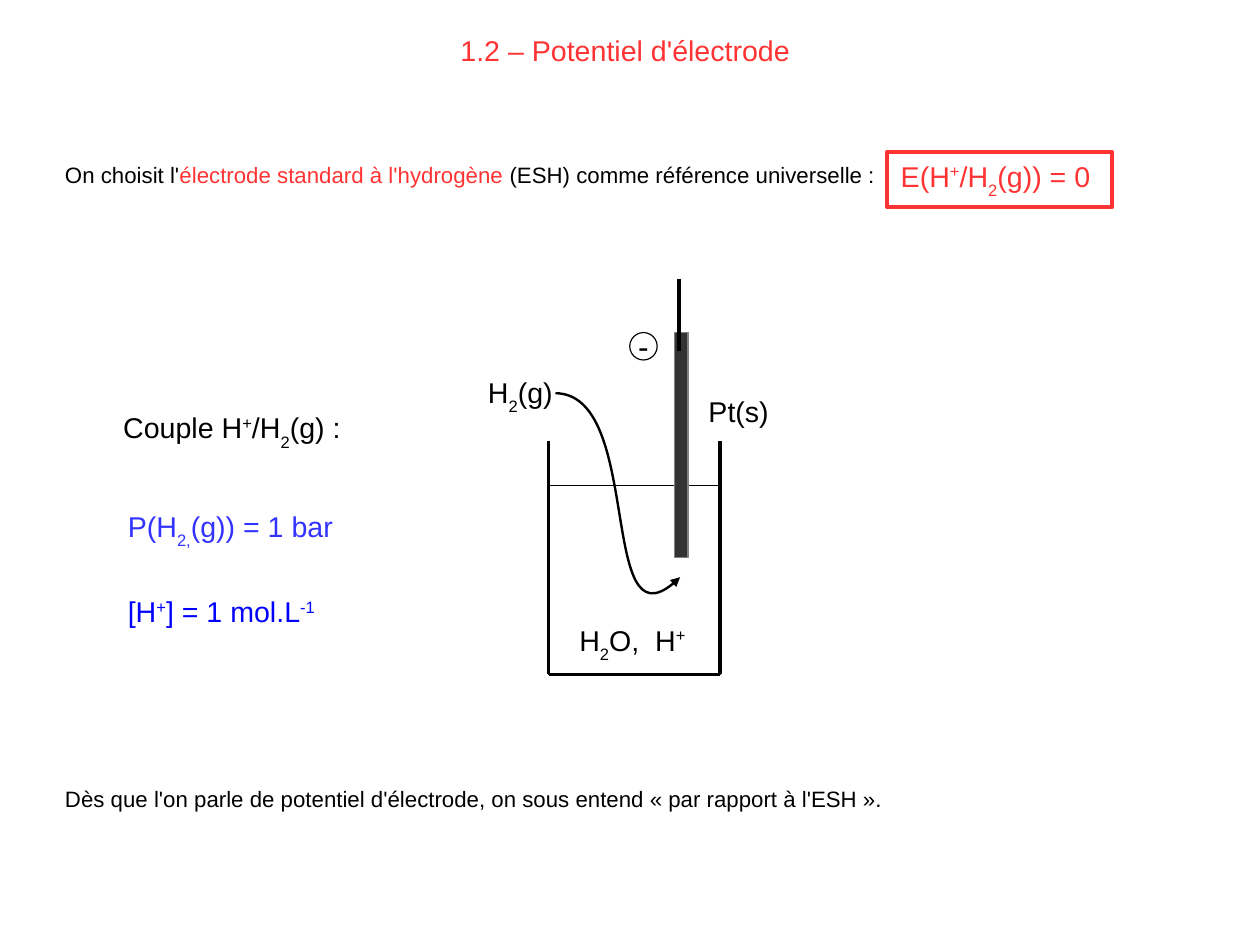
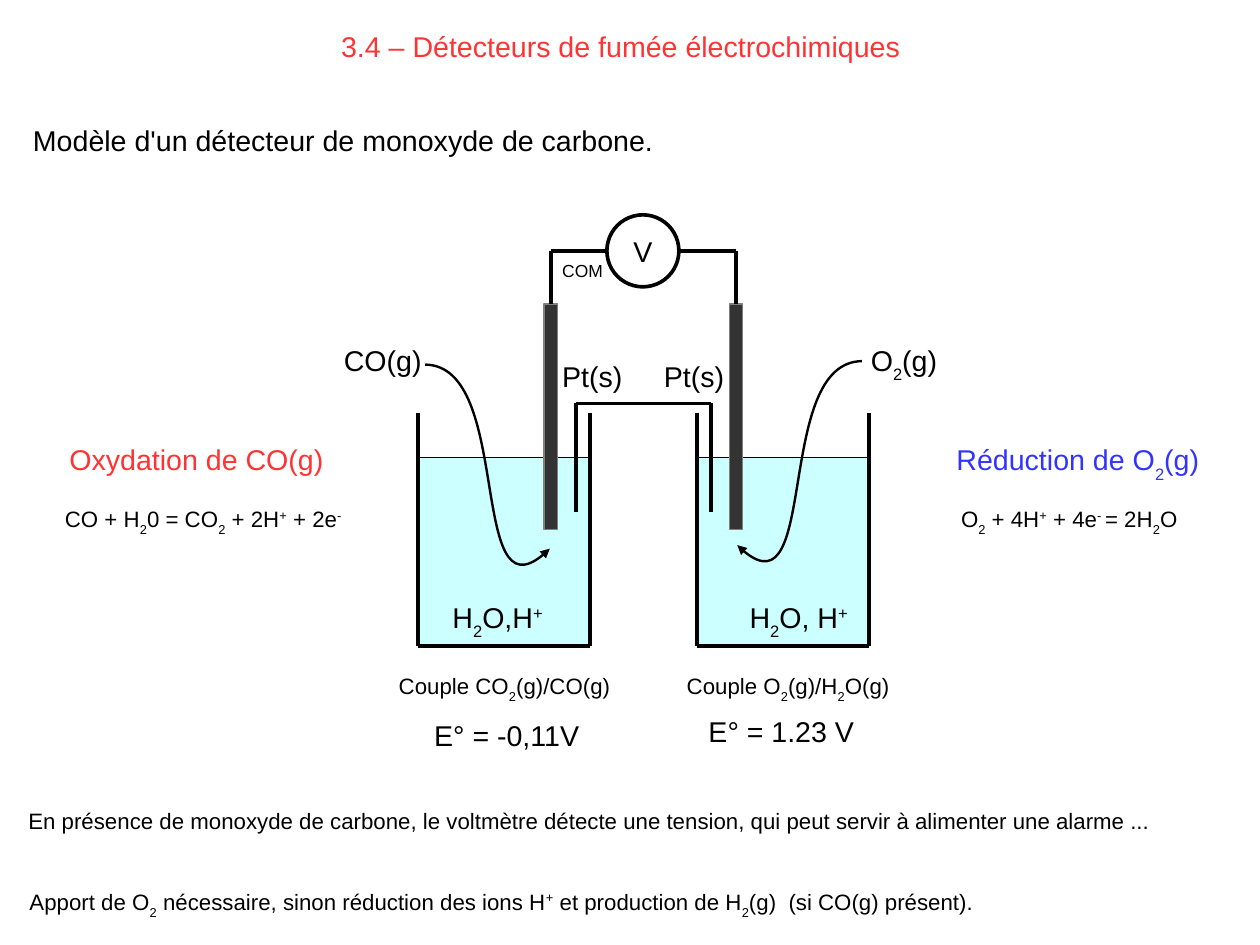
import pptx
import pptx.util
import pptx.dml.color
import pptx.enum.shapes
import pptx.enum.text
import pptx.oxml.ns
from lxml import etree

RGB = pptx.dml.color.RGBColor
SHAPE = pptx.enum.shapes.MSO_SHAPE
ALIGN = pptx.enum.text.PP_ALIGN
ANCHOR = pptx.enum.text.MSO_ANCHOR
qn = pptx.oxml.ns.qn
Inches, Pt, Cm = pptx.util.Inches, pptx.util.Pt, pptx.util.Cm

BLACK = RGB(0x00, 0x00, 0x00)
WHITE = RGB(0xFF, 0xFF, 0xFF)
RED = RGB(0xFF, 0x33, 0x33)
BLUE = RGB(0x33, 0x33, 0xFF)
PURE_BLUE = RGB(0x00, 0x00, 0xFF)
PLATINUM = RGB(0x33, 0x33, 0x33)
GREY = RGB(0x80, 0x80, 0x80)
WATER = RGB(0xCC, 0xFF, 0xFF)

FONT = "Arial"
BIG, SMALL = 18, 14
THICK, THIN, CURVE, HAIR = 2.3, 0.79, 1.5, 0

# Content: (left, top, width), text, size, colour
# Markup: _subscript_, ^superscript^, *red*
TITLES = [
    ((3.77, 0.24, 3.40), "1.2 – Potentiel d'électrode"),
    ((2.83, 0.20, 5.20), "3.4 – Détecteurs de fumée électrochimiques"),
]
LABELS = [
    [
        ((0.47, 1.36, 8.82), "On choisit l'*électrode standard à l'hydrogène* (ESH) "
                             "comme référence universelle :", SMALL, BLACK),
        ((4.17, 3.23, 0.95), "H_2_(g)", BIG, BLACK),
        ((6.10, 3.40, 0.95), "Pt(s)", BIG, BLACK),
        ((4.97, 5.40, 1.30), "H_2_O,  H^+^", BIG, BLACK),
        ((0.98, 3.54, 2.30), "Couple H^+^/H_2_(g) :", BIG, BLACK),
        ((1.02, 4.40, 2.30), "P(H_2,_(g)) = 1 bar", BIG, BLUE),
        ((1.02, 5.15, 2.30), "[H^+^] = 1 mol.L^-1^", BIG, PURE_BLUE),
        ((0.47, 6.82, 8.82), "Dès que l'on parle de potentiel d'électrode, "
                             "on sous entend « par rapport à l'ESH ».", SMALL, BLACK),
    ],
    [
        ((0.19, 1.03, 5.79), "Modèle d'un détecteur de monoxyde de carbone.", BIG, BLACK),
        ((4.82, 2.23, 0.70), "COM", 11, BLACK),
        ((2.91, 2.95, 0.95), "CO(g)", BIG, BLACK),
        ((7.52, 2.95, 0.95), "O_2_(g)", BIG, BLACK),
        ((4.82, 3.09, 0.95), "Pt(s)", BIG, BLACK),
        ((5.71, 3.09, 0.95), "Pt(s)", BIG, BLACK),
        ((3.86, 5.20, 1.20), "H_2_O,H^+^", BIG, BLACK),
        ((6.46, 5.20, 1.20), "H_2_O, H^+^", BIG, BLACK),
        ((0.51, 3.82, 2.60), "Oxydation de CO(g)", BIG, RED),
        ((8.27, 3.82, 2.60), "Réduction de O_2_(g)", BIG, BLUE),
        ((0.47, 4.37, 2.70), "CO + H_2_0 = CO_2_ + 2H^+^ + 2e^-^", SMALL, BLACK),
        ((8.31, 4.37, 2.70), "O_2_ + 4H^+^ + 4e^- ^= 2H_2_O", SMALL, BLACK),
        ((3.39, 5.83, 2.17), "Couple CO_2_(g)/CO(g)", SMALL, BLACK),
        ((5.91, 5.83, 2.17), "Couple O_2_(g)/H_2_O(g)", SMALL, BLACK),
        ((3.70, 6.23, 1.65), "E° = -0,11V", BIG, BLACK),
        ((6.10, 6.20, 1.65), "E° = 1.23 V", BIG, BLACK),
        ((0.15, 7.01, 10.80), "En présence de monoxyde de carbone, le voltmètre détecte une "
                              "tension, qui peut servir à alimenter une alarme ...", SMALL, BLACK),
        ((0.16, 7.72, 10.80), "Apport de O_2_ nécessaire, sinon réduction des ions H^+^ et "
                              "production de H_2_(g)  (si CO(g) présent).", SMALL, BLACK),
    ],
]

# Half-cell geometry, measured from the beaker's side and the liquid surface
CELL_W, CELL_H, RIM = 1.5, 1.65, 0.39
ROD_X, ROD_Y, ROD_W, ROD_H = 1.1, -1.34, 0.12, 1.97
GAS_PATH = [(0.06, -0.81), (0.83, -0.80), (0.41, 1.53), (1.15, 0.80)]


def write(tf, text, size, color, align=ALIGN.LEFT, anchor=ANCHOR.TOP, **frame):
    values = {"word_wrap": True, "auto_size": pptx.enum.text.MSO_AUTO_SIZE.NONE,
              "vertical_anchor": anchor, **frame}
    for name, value in values.items():
        setattr(tf, name, value)
    p = tf.paragraphs[0]
    p.alignment = align
    pieces, mode = [("", "")], ""
    for ch in text:
        if ch in "_^*":
            mode = "" if mode else ch
            pieces.append((mode, ""))
        else:
            pieces[-1] = (mode, pieces[-1][1] + ch)
    for mode, piece in pieces:
        if not piece:
            continue
        r = p.add_run()
        r.text = piece
        for name, value in {"name": FONT, "size": Pt(size), "bold": False}.items():
            setattr(r.font, name, value)
        r.font.color.rgb = RED if mode == "*" else color
        if mode in ("_", "^"):
            r._r.get_or_add_rPr().set("baseline", "-33000" if mode == "_" else "33000")


def add_label(s, at, text, size, color):
    left, top, width = at
    box = s.shapes.add_textbox(Inches(left), Inches(top), Inches(width),
                               Inches(0.1 + size / 60))
    write(box.text_frame, text, size, color)


def add_block(s, kind, at, fill, color, weight):
    sp = s.shapes.add_shape(kind, *map(Inches, at))
    sp.shadow.inherit = False
    if fill is None:
        sp.fill.background()
    else:
        sp.fill.solid()
        sp.fill.fore_color.rgb = fill
    sp.line.color.rgb = color
    sp.line.width = Pt(weight)
    return sp


def add_disc(s, at, text, size, weight):
    sp = add_block(s, SHAPE.OVAL, at, WHITE, BLACK, weight)
    write(sp.text_frame, text, size, BLACK, ALIGN.CENTER, ANCHOR.MIDDLE, word_wrap=False,
          margin_left=0, margin_right=0, margin_top=0, margin_bottom=0)


def add_wires(s, *points):
    """Join successive points with straight lines; return the last line."""
    for start, end in zip(points, points[1:]):
        line = s.shapes.add_connector(pptx.enum.shapes.MSO_CONNECTOR.STRAIGHT,
                                      *map(Inches, start + end))
        line.line.color.rgb = BLACK
        line.line.width = Pt(THICK)
        etree.SubElement(line._element.spPr, qn("a:effectLst"))
    return line


def add_gas_arrow(s, points):
    pts = [(Inches(x), Inches(y)) for x, y in points]
    fb = s.shapes.build_freeform(*pts[0], scale=1.0)
    fb.add_line_segments(pts[1:], close=False)
    sp = fb.convert_to_shape()
    sp.shadow.inherit = False
    sp.fill.background()
    sp.line.color.rgb = BLACK
    sp.line.width = Pt(CURVE)
    # The three segments become one cubic curve
    outline = next(sp._element.iter(qn("a:path")))
    bezier = etree.SubElement(outline, qn("a:cubicBezTo"))
    for segment in outline.findall(qn("a:lnTo")):
        bezier.append(segment[0])
        outline.remove(segment)
    etree.SubElement(sp.line._get_or_add_ln(), qn("a:tailEnd"), type="triangle")


def add_cell(s, left, surface, fill, mirrored=False, lift=0):
    """Beaker, electrode and gas arrow; returns the electrode."""
    right, bottom, rim = left + CELL_W, surface + CELL_H, surface - RIM
    add_block(s, SHAPE.RECTANGLE, (left, surface, CELL_W, CELL_H), fill, BLACK, THIN)
    add_wires(s, (left, rim), (left, bottom), (right, bottom), (right, rim))
    rod_left = right - ROD_X - ROD_W if mirrored else left + ROD_X
    rod = add_block(s, SHAPE.RECTANGLE, (rod_left, surface + ROD_Y, ROD_W, ROD_H),
                    PLATINUM, GREY, HAIR)
    add_gas_arrow(s, [(right - x if mirrored else left + x, surface + y - lift)
                      for x, y in GAS_PATH])
    return rod


def draw_hydrogen_electrode(s):
    sp = add_block(s, SHAPE.RECTANGLE, (7.76, 1.33, 1.97, 0.48), None, RED, 2.83)
    write(sp.text_frame, "E(H^+^/H_2_(g)) = 0 ", BIG, RED, ALIGN.CENTER, ANCHOR.MIDDLE)
    add_cell(s, 4.8, 4.25, WHITE)
    add_wires(s, (5.94, 2.44), (5.94, 3.07))
    add_disc(s, (5.51, 2.91, 0.24, 0.24), "-", 20, HAIR)


def draw_detector(s):
    rods = [add_cell(s, 3.66, 4, WATER),
            add_cell(s, 6.1, 4, WATER, mirrored=True, lift=0.03)]
    # Salt bridge
    add_wires(s, (5.04, 4.48), (5.04, 3.53), (6.22, 3.53), (6.22, 4.48))
    # Voltmeter circuit
    meter_left, meter_top, meter_d = 5.31, 1.88, 0.63
    wire_y = meter_top + meter_d / 2
    for rod, meter_x in zip(rods, (meter_left, meter_left + meter_d)):
        x = (rod.left + rod.width / 2) / Inches(1)
        drop = add_wires(s, (meter_x, wire_y), (x, wire_y), (x, rod.top / Inches(1)))
        drop.end_connect(rod, 0)
    add_disc(s, (meter_left, meter_top, meter_d, meter_d), "V", BIG, THICK)


def main():
    prs = pptx.Presentation()
    prs.slide_width, prs.slide_height = Cm(28), Cm(21)
    drawings = (draw_hydrogen_electrode, draw_detector)
    for (at, title), labels, draw in zip(TITLES, LABELS, drawings):
        s = prs.slides.add_slide(prs.slide_layouts[5])
        sp = s.shapes.title
        for name, value in zip(("left", "top", "width", "height"), at + (0.4,)):
            setattr(sp, name, Inches(value))
        write(sp.text_frame, title, BIG, RED, ALIGN.CENTER)
        draw(s)
        for label in labels:
            add_label(s, *label)
    prs.save("out.pptx")


if __name__ == "__main__":
    main()
